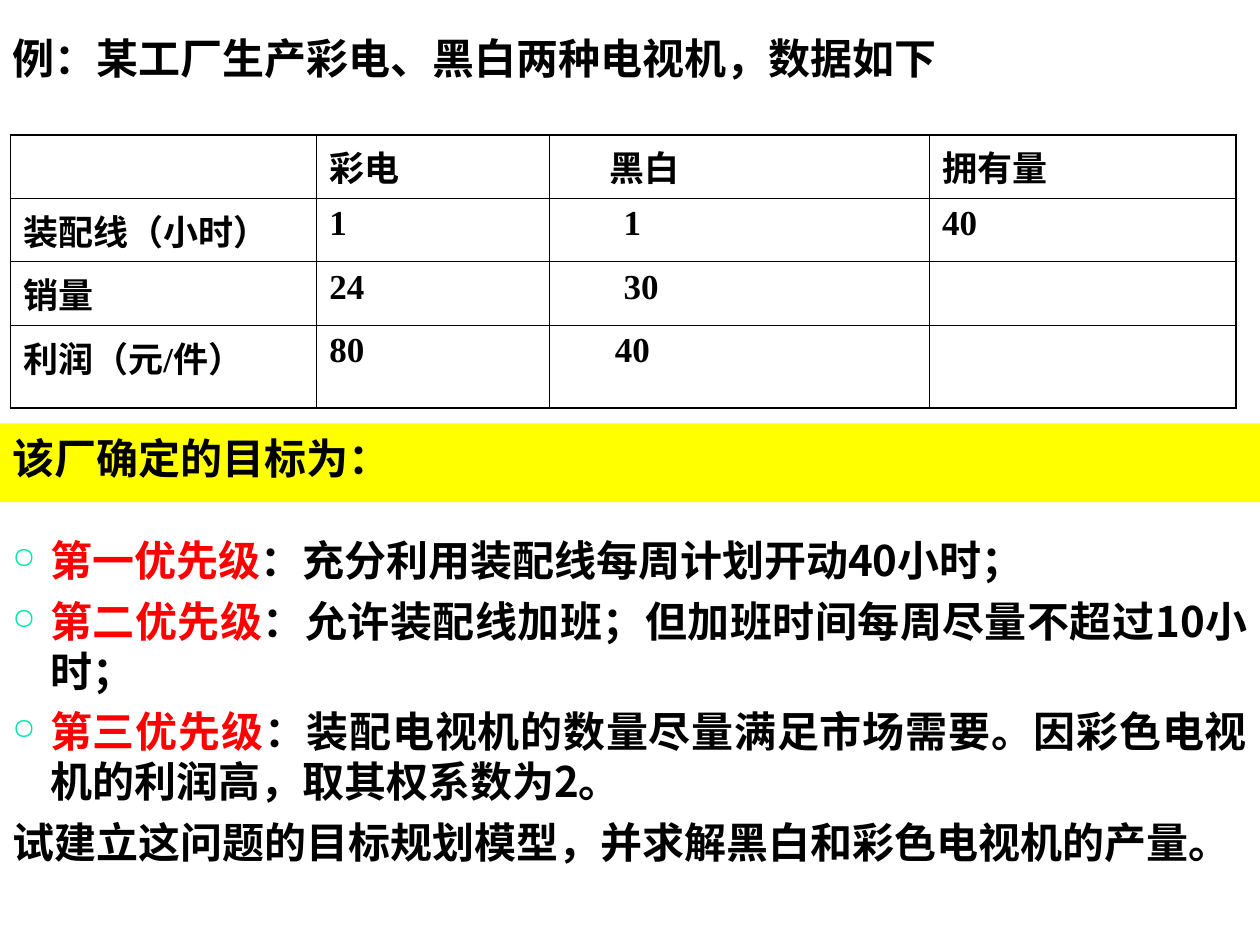
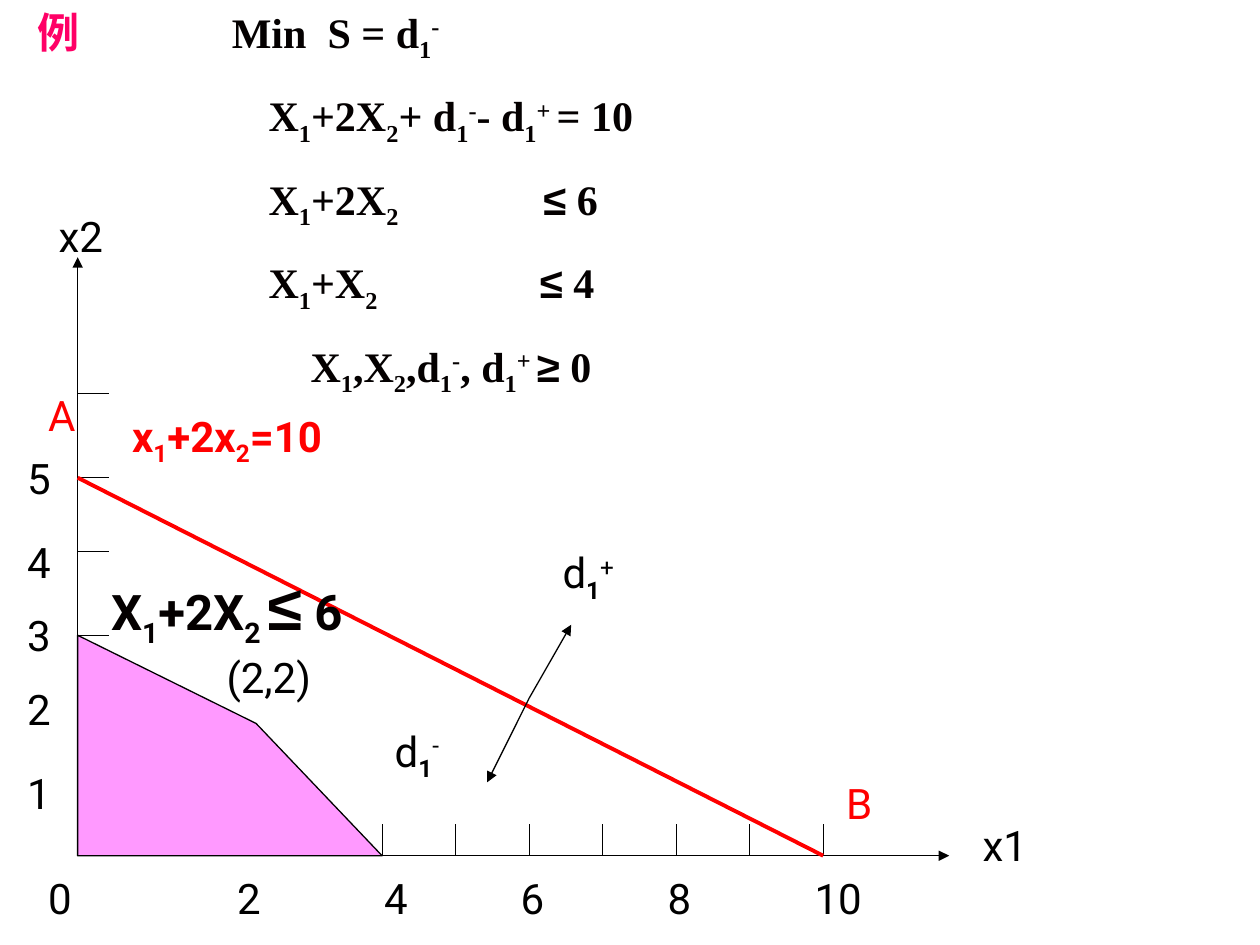
from dataclasses import dataclass
from itertools import groupby

from lxml.etree import SubElement
from pptx import Presentation
from pptx.dml.color import RGBColor
from pptx.enum.shapes import MSO_CONNECTOR, MSO_SHAPE
from pptx.enum.text import MSO_ANCHOR, PP_ALIGN
from pptx.oxml import parse_xml
from pptx.oxml.ns import nsdecls, qn
from pptx.util import Pt


@dataclass(frozen=True)
class Theme:
    black: str = "000000"
    ink: str = "040000"
    red: str = "FF0000"
    pink: str = "FF0066"
    yellow: str = "FFFF00"
    violet: str = "FF99FF"
    mint: str = "00E4A8"
    han: str = "Noto Sans CJK SC"
    plot: str = "Roboto"
    math: str = "Times New Roman"
    sign: str = "Arial"
    body: float = 24
    cell: float = 20
    large: float = 28
    huge: float = 36
    thin: float = 0.45
    edge: float = 1.08
    rule: float = 0.75
    bold: float = 2.25
    pitch: float = 28.6


T = Theme()

TITLE = "例：某工厂生产彩电、黑白两种电视机，数据如下"
GRID = [
    ["", "彩电", "黑白", "拥有量"],
    ["装配线（小时）", "1", "1", "40"],
    ["销量", "24", "30", ""],
    ["利润（元/件）", "80", "40", ""],
]
COLS = [175, 133.2, 217, 175]
ROWS = [31.5, 31.5, 31.5, 47.5]
INSETS = [27, 35, 35, 30]  # extra left margin down the third column
BAND = "该厂确定的目标为："
GOALS = [
    ("第一优先级", "：充分利用装配线每周计划开动40小时；"),
    ("第二优先级", "：允许装配线加班；但加班时间每周尽量不超过10小时；"),
    ("第三优先级", "：装配电视机的数量尽量满足市场需要。因彩色电视机的利润高，取其权系数为2。"),
]
TASK = "试建立这问题的目标规划模型，并求解黑白和彩色电视机的产量。"

# _ lowers and ^ raises the next character
MODEL = [
    ("\tMin\tS = d_1^-", [111, 165.7]),
    ("\tX_1+2X_2+ d_1^-- d_1^+^ = 10", [132]),
    ("\tX_1+2X_2\t≤ 6", [132, 289]),
    ("\tX_1+X_2\t≤ 4", [132, 287]),
    ("\tX_1,X_2,d_1^-, d_1^+^ ≥ 0", [156]),
]
XNUMS = {"0": 20.4, "2": 128.4, "4": 212.4, "6": 290.4, "8": 374.4, "10": 458.4}
YNUMS = {"1": 435, "2": 387, "3": 345, "4": 303, "5": 255}
TAGS = [  # text, left, top, width, colour, bold
    ("x1", 554.4, 465, 42, T.black, False),
    ("x2", 26.4, 117, 48, T.black, False),
    ("x_1+2x_2=10", 68.4, 231, 258, T.red, True),
    ("d_1^+", 314.4, 309, 60, T.black, False),
    ("d_1^-", 218.4, 411, 60, T.black, False),
    ("A", 20.4, 219, 48, T.red, False),
    ("B", 476.4, 441, 48, T.red, False),
    ("(2,2)", 122.4, 369, 72, T.black, False),
]
BOUND = "X_1+2X_2_ ≤ 6"
ORIGIN = (44.4, 489)
STEP, JUMP, TICK = 42, 6, 18


def color(code):
    return RGBColor.from_string(code)


def write(para, text, face, size, code, bold=True, shift=0):
    run = para.add_run()
    run.text = text
    font = run.font
    font.name, font.size, font.bold = face, Pt(size), bold
    font.color.rgb = color(code)
    props = run._r.get_or_add_rPr()
    SubElement(props, qn("a:ea")).set("typeface", T.han)
    if shift:
        props.set("baseline", str(shift * 1000))


def split(text):
    """Yield (character, baseline shift, is a comparison sign)."""
    chars = iter(text)
    for char in chars:
        shift = {"_": -25, "^": 30}.get(char, 0)
        if shift:
            char = next(chars)
        yield char, shift, char in "≤≥"


def formula(para, text, face, size, code, bold=True, big=None):
    for (shift, sign), group in groupby(split(text), lambda part: part[1:]):
        piece = "".join(part[0] for part in group)
        strong = bold or shift < 0
        write(para, piece, T.sign if sign else face,
              big if sign and big else size, code, strong, shift)


def box(slide, left, top, width, height):
    frame = slide.shapes.add_textbox(Pt(left), Pt(top), Pt(width), Pt(height)).text_frame
    frame.word_wrap = True
    return frame


def add_para(frame, index):
    return frame.add_paragraph() if index else frame.paragraphs[0]


def line(slide, start, end, code=T.black, width=T.rule, arrow=False):
    link = slide.shapes.add_connector(
        MSO_CONNECTOR.STRAIGHT, *(Pt(n) for n in (*start, *end)))
    link.line.color.rgb, link.line.width = color(code), Pt(width)
    props = link._element.spPr
    if arrow:
        SubElement(link.line._get_or_add_ln(), qn("a:tailEnd")).set("type", "triangle")
    SubElement(props, qn("a:effectLst"))


def border(cell, sizes):
    props = cell._tc.get_or_add_tcPr()
    for spot, (side, width) in enumerate(zip("LRTB", sizes)):
        props.insert(spot, parse_xml(
            f'<a:ln{side} {nsdecls("a")} w="{Pt(width)}"><a:solidFill>'
            f'<a:srgbClr val="{T.black}"/></a:solidFill></a:ln{side}>'))


def add_grid(slide):
    table = slide.shapes.add_table(
        len(ROWS), len(COLS), Pt(6), Pt(77), Pt(sum(COLS)), Pt(sum(ROWS))).table
    table.first_row = table.horz_banding = False
    for column, width in zip(table.columns, COLS):
        column.width = Pt(width)
    for row, height in zip(table.rows, ROWS):
        row.height = Pt(height)
    for r, texts in enumerate(GRID):
        for c, text in enumerate(texts):
            cell = table.cell(r, c)
            cell.fill.background()
            outer = (c == 0, c == len(COLS) - 1, r == 0, r == len(ROWS) - 1)
            border(cell, [T.edge if out else T.thin for out in outer])
            if c == 2:
                cell.margin_left = Pt(7.2 + INSETS[r])
            if text:
                write(cell.text_frame.paragraphs[0], text, T.math, T.cell, T.black)


def hang(para, bullet):
    props = para._p.get_or_add_pPr()
    props.set("marL", str(Pt(21.6)))
    props.set("indent", str(-Pt(21.6)))
    if bullet:
        tint = SubElement(props, qn("a:buClr"))
        SubElement(tint, qn("a:srgbClr")).set("val", T.mint)
        SubElement(props, qn("a:buSzPct")).set("val", "70000")
        SubElement(props, qn("a:buChar")).set("char", "○")
        para.alignment = PP_ALIGN.JUSTIFY
    else:
        SubElement(props, qn("a:buNone"))


def han(frame, index, parts):
    """Write one paragraph of (text, colour) parts at the fixed line pitch."""
    frame.margin_top = Pt(5.6)
    para = add_para(frame, index)
    para.line_spacing = Pt(T.pitch)
    if index:
        para.space_before = Pt(6)
    for text, code in parts:
        write(para, text, T.han, T.body, code)
    return para


def add_case(slide):
    add_grid(slide)
    han(box(slide, 0, 13, 594, 36), 0, [(TITLE, T.black)])
    band = slide.shapes.add_shape(MSO_SHAPE.RECTANGLE, 0, Pt(242), Pt(720), Pt(45))
    band.shadow.inherit = False
    band.fill.solid()
    band.fill.fore_color.rgb = color(T.yellow)
    band.line.fill.background()
    band.text_frame.vertical_anchor = MSO_ANCHOR.TOP
    han(band.text_frame, 0, [(BAND, T.black)]).alignment = PP_ALIGN.LEFT
    goals = box(slide, 0, 300, 720, 231)
    for index, (lead, rest) in enumerate(GOALS):
        hang(han(goals, index, [(lead, T.red), (rest, T.black)]), True)
    hang(han(goals, len(GOALS), [(TASK, T.black)]), False)


def across(n):
    return ORIGIN[0] + STEP * n + JUMP * (n >= 4)


def up(n):
    return ORIGIN[1] - STEP * n - JUMP * (n >= 4) - JUMP * (n >= 6)


def add_axes(slide):
    x, y = ORIGIN
    line(slide, ORIGIN, (542.4, y), arrow=True)
    line(slide, ORIGIN, (x, 147), arrow=True)
    for n in range(1, 11):
        line(slide, (across(n), y), (across(n), y - TICK))
    for n in range(1, 7):
        line(slide, (x, up(n)), (x + TICK, up(n)))


def add_region(slide):
    x, y = ORIGIN
    pen = slide.shapes.build_freeform(Pt(x), Pt(up(3)))
    corners = [(x, y), (across(4), y), (146.4, 413.4)]
    pen.add_line_segments([(Pt(a), Pt(b)) for a, b in corners], close=True)
    area = pen.convert_to_shape()
    area.shadow.inherit = False
    area.fill.solid()
    area.fill.fore_color.rgb = color(T.violet)
    area.line.color.rgb, area.line.width = color(T.black), Pt(T.rule)


def add_model(slide):
    frame = box(slide, 14.4, 0, 618, 231)
    for index, (text, stops) in enumerate(MODEL):
        para = add_para(frame, index)
        para.line_spacing = Pt(32.7)
        if index:
            para.space_before = Pt(15)
        tabs = SubElement(para._p.get_or_add_pPr(), qn("a:tabLst"))
        for stop in stops:
            tab = SubElement(tabs, qn("a:tab"))
            tab.set("pos", str(Pt(stop)))
            tab.set("algn", "l")
        if not index:
            write(para, "例", T.math, T.body, T.pink)
        formula(para, text, T.math, T.body, T.ink)


def add_plot(slide):
    add_axes(slide)
    add_region(slide)
    line(slide, (ORIGIN[0], up(5)), (across(10), ORIGIN[1]), T.red, T.bold)
    for tip in [(278.4, 447), (326.4, 357)]:
        line(slide, (across(6), 399), tip, arrow=True)
    nums = [(n, left, 495, 30 if len(n) == 1 else 42, T.black, False)
            for n, left in XNUMS.items()]
    nums += [(n, 8.4, top, 30, T.black, False) for n, top in YNUMS.items()]
    for text, left, top, width, code, bold in nums + TAGS:
        para = box(slide, left, top, width, 36).paragraphs[0]
        formula(para, text, T.plot, T.body, code, bold)
    bound = box(slide, 56.4, 321, 180, 53).paragraphs[0]
    formula(bound, BOUND, T.plot, T.large, T.ink, big=T.huge)
    add_model(slide)


def main():
    deck = Presentation()
    deck.slide_width, deck.slide_height = Pt(720), Pt(540)
    for draw in (add_case, add_plot):
        draw(deck.slides.add_slide(deck.slide_layouts[6]))
    deck.save("out.pptx")


if __name__ == "__main__":
    main()
